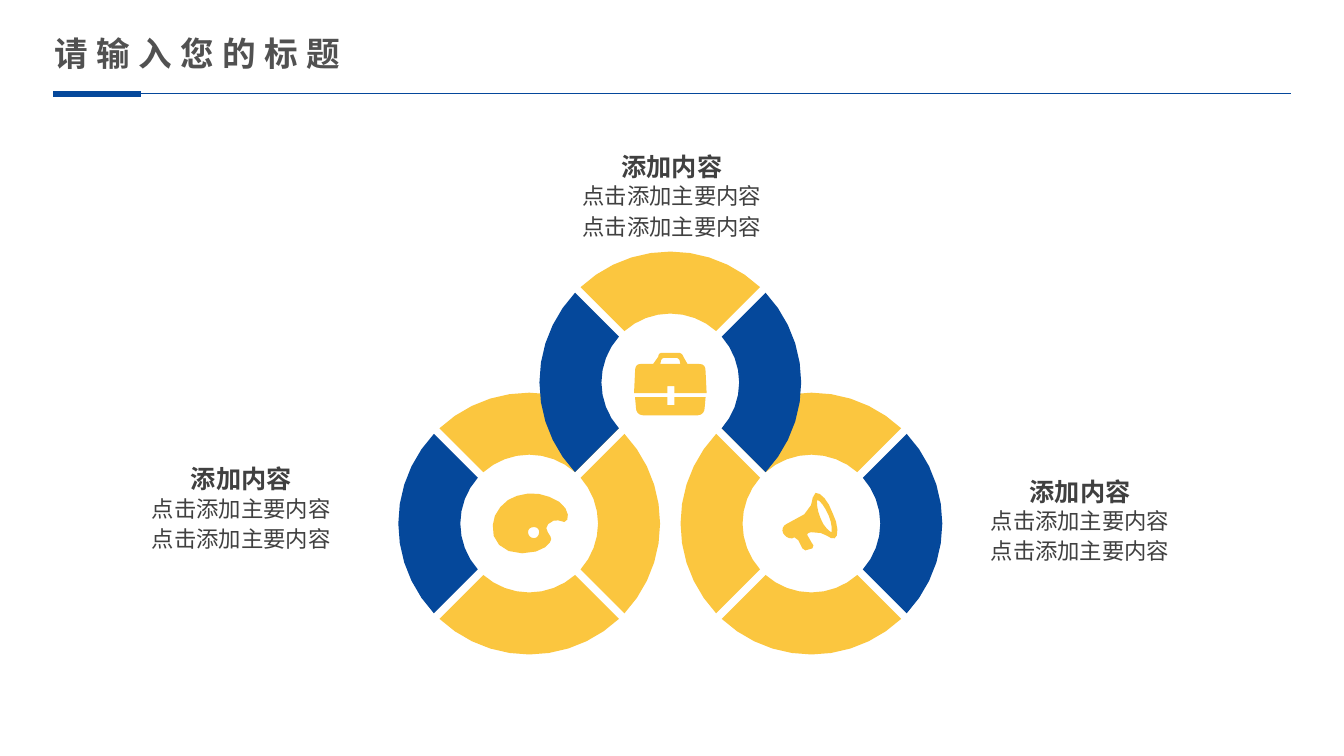
from math import asin, cos, pi, sin
from lxml import etree
from pptx import Presentation
from pptx import util as u
from pptx.dml.color import RGBColor
from pptx.enum import shapes, text
from pptx.oxml.ns import qn

COLORS = {"yellow": "FBC63F", "blue": "05489B", "heading": "515151", "body": "404040"}
FONT = "Noto Sans CJK SC"
TITLE = "请输入您的标题"
DETAIL = ["点击添加主要内容", "点击添加主要内容"]
CAPTIONS = [
    ("添加内容", DETAIL, 90.7, 324.7),
    ("添加内容", DETAIL, 689.8, 333.4),
    ("添加内容", DETAIL, 398.2, 101.5),
]
RULES = [(38.2, 100.8, 4.5), (100.8, 922.3, 0.5)]
RULE_TOP = 67

TOP_CENTRE = (478.8, 273.2)
SPREAD = 100.8
OUTER, INNER, HALF_GAP = 93.5, 49.2, 2.8
SIDES = {"right": 0, "bottom": pi / 2, "left": pi, "top": -pi / 2}
RINGS = [
    (1, 1, {"left": "yellow", "right": "blue", "bottom": "yellow", "top": "yellow"}),
    (-1, 1, {"left": "blue", "right": "yellow", "bottom": "yellow", "top": "yellow"}),
    (0, 0, {"left": "blue", "right": "blue", "top": "yellow"}),
]

ICON_UNIT = 0.72
PALETTE = [
    [(68, 11), (55, 3, 41, 0, 26, 5), (14, 8, 2, 22, 2, 34), (0, 49, 11, 62, 31, 62),
     (53, 62, 60, 51, 60, 48), (61, 45, 51, 38, 57, 33), (64, 26, 71, 31, 73, 31),
     (78, 30, 79, 19, 68, 11)],
    [(43, 47), (39, 47, 37, 44, 37, 41), (37, 38, 39, 36, 43, 36),
     (46, 36, 48, 38, 48, 41), (48, 44, 46, 47, 43, 47)],
]
BRIEFCASE = [
    [(33, 33), (40, 33), (40, 40), (72, 40), (71, 19), (71, 14, 70, 11, 64, 11),
     (53, 11), (49, 4), (48, 1, 46, 0, 44, 0), (28, 0), (26, 0, 24, 1, 24, 4),
     (19, 11), (7, 11), (2, 11, 1, 14, 1, 19), (0, 40), (33, 40)],
    [(27, 7), (28, 6, 28, 5, 31, 5), (41, 5), (44, 5, 44, 6, 45, 7), (46, 11), (26, 11)],
    [(40, 52), (33, 52), (33, 44), (1, 44), (2, 55), (2, 58, 4, 62, 9, 62), (63, 62),
     (68, 62, 70, 58, 70, 55), (71, 44), (40, 44)],
]
MEGAPHONE = [
    [(51, 21), (47, 9, 39, 0, 34, 1), (27, 5, 39, 19, 5, 32), (2, 33, 0, 38, 2, 41),
     (3, 43, 7, 47, 11, 46), (13, 45), (17, 48), (21, 56), (24, 58), (31, 56),
     (32, 53), (30, 50), (26, 43), (25, 42, 27, 40, 30, 40),
     (45, 39, 48, 48, 53, 46), (57, 45, 57, 32, 51, 21)],
    [(50, 40), (49, 40, 42, 35, 39, 26), (35, 17, 35, 8, 36, 8),
     (38, 8, 43, 14, 47, 23), (51, 32, 50, 39, 50, 40)],
]
ICONS = [(PALETTE, 350.6, 350.6), (BRIEFCASE, 452.9, 252), (MEGAPHONE, 558, 351.4)]


def rgb(color):
    return RGBColor.from_string(COLORS[color])


def draw_outline(slide, contours, color):
    pen = None
    for contour in contours:
        start, *rest = [(u.Pt(x), u.Pt(y)) for x, y in contour]
        if pen is None:
            pen = slide.shapes.build_freeform(*start, scale=1.0)
        else:
            pen.move_to(*start)
        pen.add_line_segments(rest, close=True)
    outline = pen.convert_to_shape()
    outline.shadow.inherit = False
    outline.fill.solid()
    outline.fill.fore_color.rgb = rgb(color)
    outline.line.fill.background()


def arc(cx, cy, radius, middle, steps):
    half = pi / 4 - asin(HALF_GAP / radius)
    angles = [middle - half + 2 * half * i / steps for i in range(steps + 1)]
    return [(cx + radius * cos(a), cy + radius * sin(a)) for a in angles]


def flatten(contour, left, top, steps=4):
    points = [contour[0]]
    for segment in contour[1:]:
        if len(segment) == 2:
            points.append(segment)
            continue
        (x0, y0), (x1, y1, x2, y2, x3, y3) = points[-1], segment
        for i in range(1, steps + 1):
            t = i / steps
            a, b, c, d = (1 - t) ** 3, 3 * t * (1 - t) ** 2, 3 * t * t * (1 - t), t ** 3
            points.append((a * x0 + b * x1 + c * x2 + d * x3,
                           a * y0 + b * y1 + c * y2 + d * y3))
    return [(left + x * ICON_UNIT, top + y * ICON_UNIT) for x, y in points]


def write(frame, lines, color, font, paragraph_format, spacing=None):
    frame.word_wrap = True
    frame.auto_size = text.MSO_AUTO_SIZE.NONE
    frame.vertical_anchor = text.MSO_ANCHOR.TOP
    for i, line in enumerate(lines):
        paragraph = frame.add_paragraph() if i else frame.paragraphs[0]
        for key, value in paragraph_format.items():
            setattr(paragraph, key, value)
        run = paragraph.add_run()
        run.text = line
        for key, value in {"name": FONT, **font}.items():
            setattr(run.font, key, value)
        run.font.color.rgb = rgb(color)
        properties = run._r.get_or_add_rPr()
        etree.SubElement(properties, qn("a:ea")).set("typeface", FONT)
        if spacing:
            properties.set("spc", str(spacing))


def place(shape, left, top, width, height):
    box = {"left": left, "top": top, "width": width, "height": height}
    for key, value in box.items():
        setattr(shape, key, u.Pt(value))


def main():
    deck = Presentation()
    deck.slide_width, deck.slide_height = u.Pt(960), u.Pt(540)
    slide = deck.slides.add_slide(deck.slide_layouts[5])

    for column, row, sides in RINGS:
        cx, cy = TOP_CENTRE[0] + column * SPREAD, TOP_CENTRE[1] + row * SPREAD
        for side, color in sides.items():
            outer = arc(cx, cy, OUTER, SIDES[side], 10)
            inner = arc(cx, cy, INNER, SIDES[side], 8)
            draw_outline(slide, [outer + inner[::-1]], color)

    for contours, left, top in ICONS:
        draw_outline(slide, [flatten(c, left, top) for c in contours], "yellow")

    centred = {"alignment": text.PP_ALIGN.CENTER, "line_spacing": 1.14}
    for heading, detail, left, top in CAPTIONS:
        parts = [
            (detail, {"size": u.Pt(16)}, (left + 5, top + 22.5, 153.4, 51.1)),
            ([heading], {"size": u.Pt(18), "bold": True}, (left, top, 163.4, 30.2)),
        ]
        for lines, font, box in parts:
            caption = slide.shapes.add_textbox(*map(u.Pt, box))
            write(caption.text_frame, lines, "body", font, centred)

    for start, end, weight in RULES:
        rule = slide.shapes.add_connector(
            shapes.MSO_CONNECTOR.STRAIGHT, *map(u.Pt, (start, RULE_TOP, end, RULE_TOP)))
        rule.line.color.rgb = rgb("blue")
        rule.line.width = u.Pt(weight)
        etree.SubElement(rule._element.spPr, qn("a:effectLst"))

    title = slide.shapes.title
    place(title, 31.7, 20.2, 252, 36)
    write(title.text_frame, [TITLE], "heading", {"size": u.Pt(24), "bold": True},
          {"alignment": text.PP_ALIGN.LEFT}, spacing=600)

    deck.save("out.pptx")


if __name__ == "__main__":
    main()
